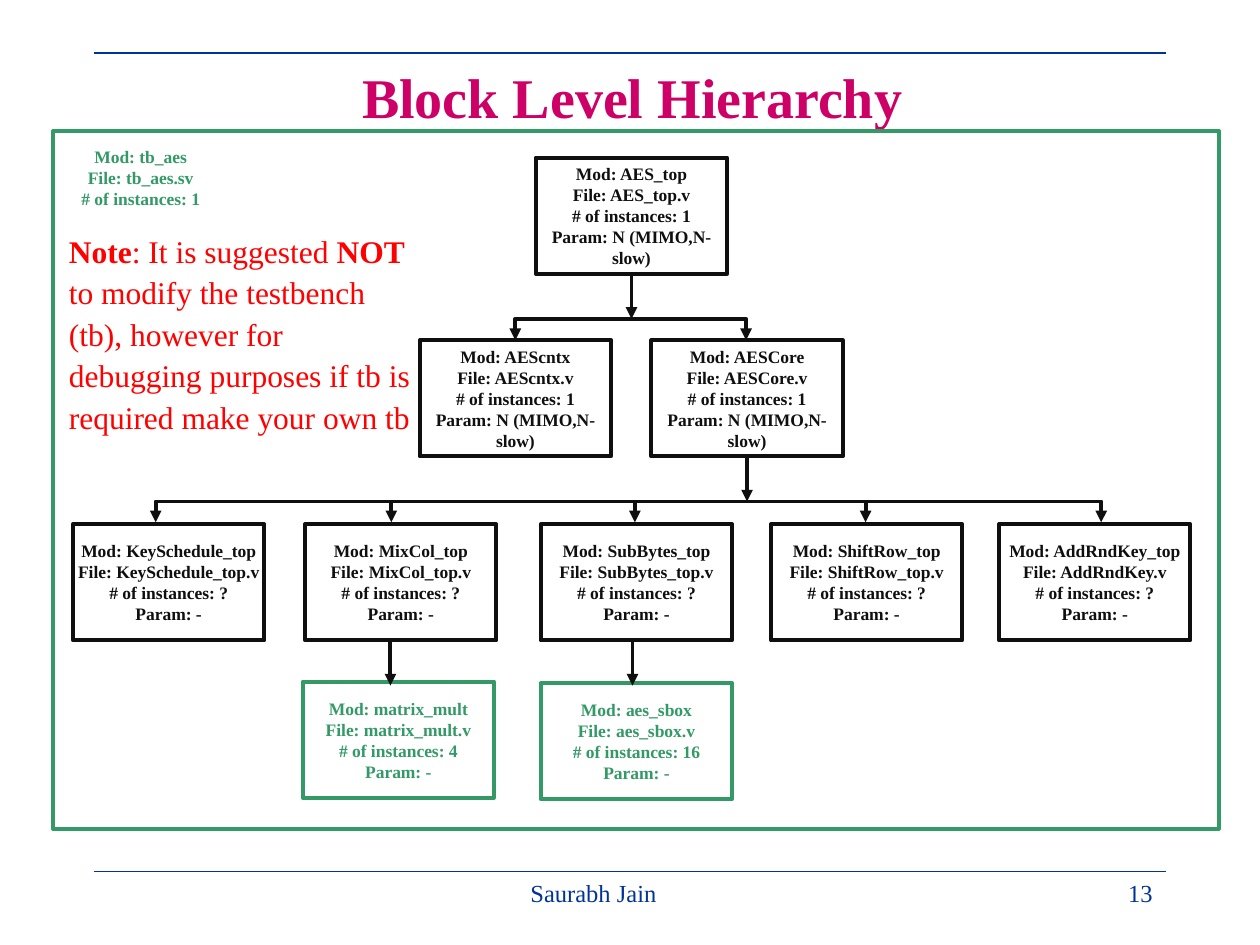
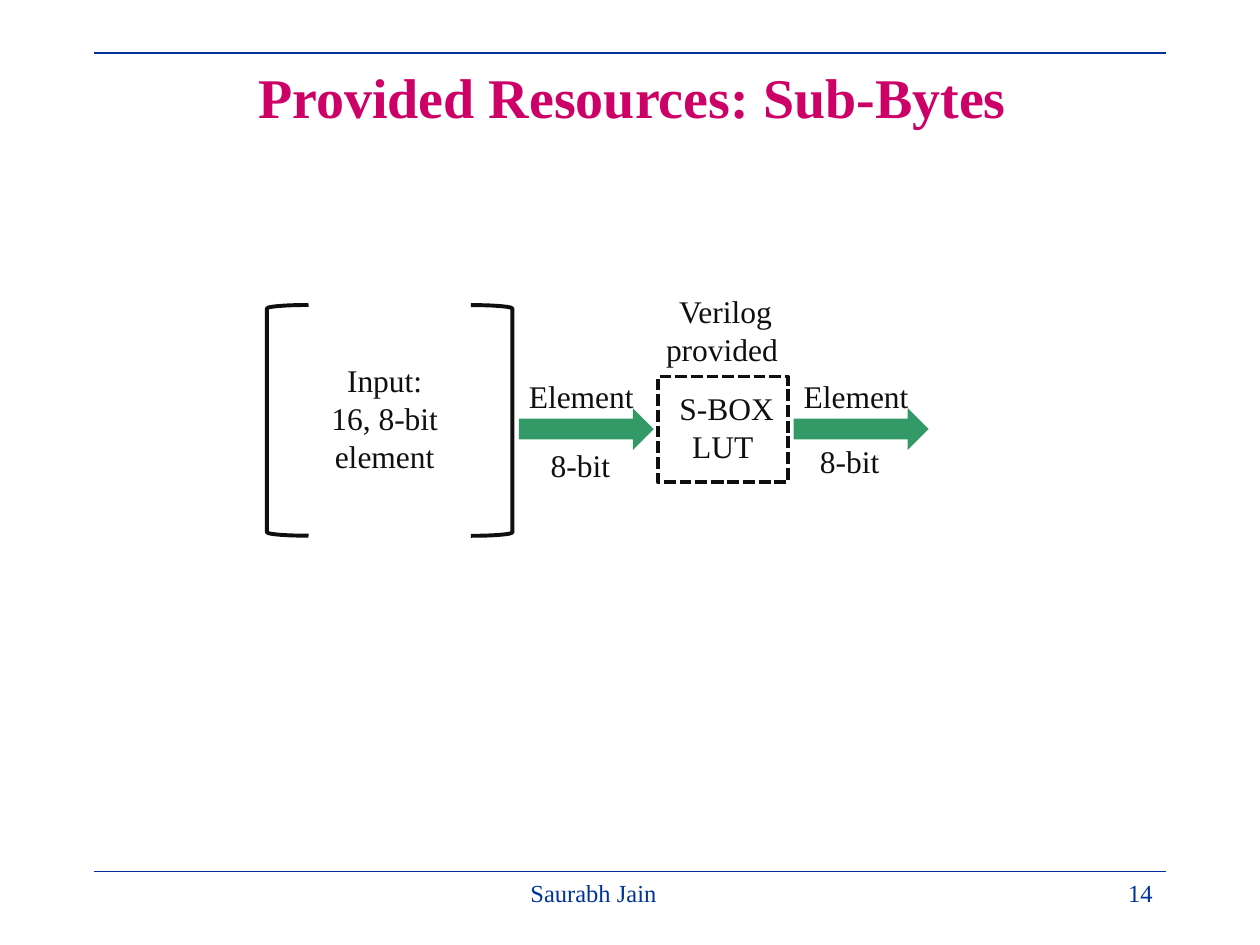
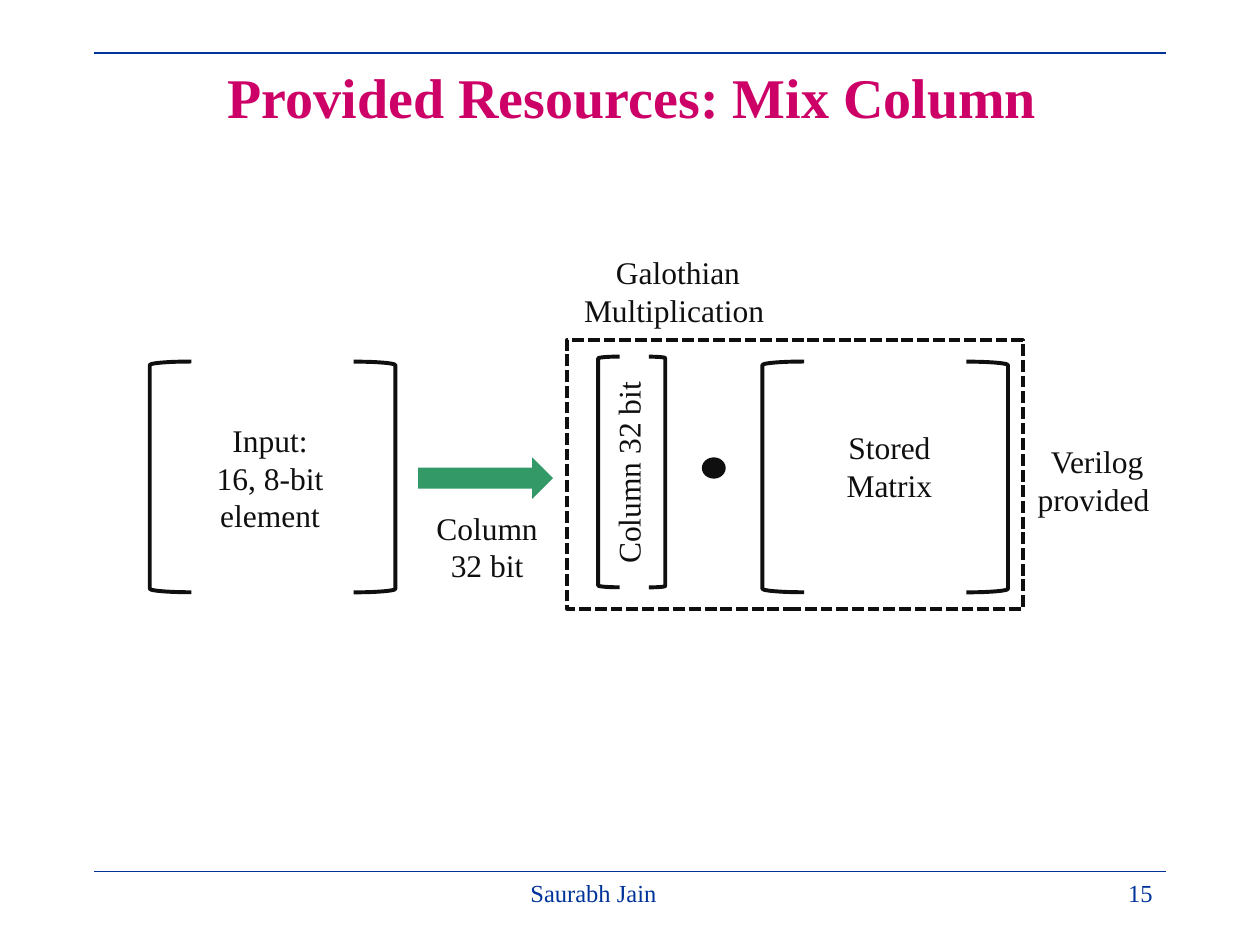
from lxml import etree
from pptx import Presentation
from pptx.dml.color import RGBColor
from pptx.enum.dml import MSO_LINE
from pptx.enum.shapes import MSO_CONNECTOR as CONN, MSO_SHAPE as SHAPE
from pptx.enum.text import MSO_ANCHOR as ANCHOR, MSO_AUTO_SIZE, PP_ALIGN as ALIGN
from pptx.oxml.ns import qn
from pptx.util import Cm, Pt

COLORS = {"ink": "0F0F0F", "green": "339966", "blue": "003399",
          "title": "CC0066", "note": "FF0000"}
FONT = "Times New Roman"
AUTHOR = "Saurabh Jain"
FIRST_NUMBER = 13

# ---- Content: block hierarchy (lengths in cm) ----
BOX_W, BOX_H = 3.86, 2.34
FRAME = (1.07, 2.64, 23.5, 14.07)
MIMO = "N (MIMO,N-slow)"
# module, file, instances, parameter, left, top, colour
MODULES = [
    ("AES_top", "AES_top.v", "1", MIMO, 10.8, 3.18, "ink"),
    ("AEScntx", "AEScntx.v", "1", MIMO, 8.46, 6.86, "ink"),
    ("AESCore", "AESCore.v", "1", MIMO, 13.13, 6.86, "ink"),
    ("KeySchedule_top", "KeySchedule_top.v", "?", "-", 1.47, 10.57, "ink"),
    ("MixCol_top", "MixCol_top.v", "?", "-", 6.15, 10.57, "ink"),
    ("SubBytes_top", "SubBytes_top.v", "?", "-", 10.9, 10.57, "ink"),
    ("ShiftRow_top", "ShiftRow_top.v", "?", "-", 15.54, 10.57, "ink"),
    ("AddRndKey_top", "AddRndKey.v", "?", "-", 20.14, 10.57, "ink"),
    ("matrix_mult", "matrix_mult.v", "4", "-", 6.1, 13.74, "green"),
    ("aes_sbox", "aes_sbox.v", "16", "-", 10.9, 13.77, "green"),
]
TESTBENCH = ["Mod: tb_aes", "File: tb_aes.sv", "# of instances: 1"]
NOTE = [[("Note", True), (": It is suggested ", False), ("NOT ", True),
         ("to modify the testbench (tb), however for debugging purposes "
          "if tb is required make your own tb", False)]]
# parent, bus height, arrow tip height, (start, tip) of each branch
BUSES = [
    ("AES_top", 6.43, 6.86, [(12.73, 10.39), (12.73, 15.04)]),
    ("AESCore", 10.11, 10.53, [(15.06, 12.8), (15.06, 17.45), (12.8, 7.89),
                               (17.45, 22.2), (7.89, 3.14)]),
]
LEAF_ARROWS = [7.87, 12.75]

# ---- Content: resource diagrams (lengths in cm) ----
INPUT = ["Input:", "16, 8-bit element"]
ARROW_SIZE = (2.72, 0.84)
WIDE = (4.95, 0.84, 0.84)      # span, left bracket, right bracket
NARROW = (1.35, 0.43, 0.33)
DIAGRAMS = [
    {"title": "Provided Resources: Sub-Bytes",
     "brackets": [(5.38, 6.15, WIDE)],
     "arrows": [(10.46, 8.23), (16, 8.23)],
     "dashed": (13.26, 7.59, 2.62, 2.13),
     "labels": [(INPUT, 5.99, 7.16, 3.53, 2.57, 0),
                (["Element"], 10.36, 7.47, 2.72, 1.02, 0),
                ([" S-BOX ", "LUT"], 13.26, 7.72, 2.62, 1.8, 0),
                (["Element"], 15.9, 7.47, 2.72, 1.02, 0),
                (["8-bit"], 10.34, 8.86, 2.72, 1.02, 0),
                (["8-bit"], 15.77, 8.79, 2.72, 1.02, 0),
                ([" Verilog provided"], 12.47, 5.77, 4.17, 1.8, 0)]},
    {"title": "Provided Resources: Mix Column",
     "brackets": [(3.02, 7.29, WIDE), (12.06, 7.19, NARROW), (15.37, 7.29, WIDE)],
     "arrows": [(8.43, 9.22)],
     "dashed": (11.43, 6.86, 9.19, 5.41),
     "dot": (14.15, 9.22, 0.48, 0.43),
     "labels": [(INPUT, 3.68, 8.36, 3.53, 2.57, 0),
                (["Column", "32 bit"], 8.46, 10.13, 2.72, 1.8, 0),
                ([" Galothian Multiplication"], 11.43, 4.98, 4.32, 1.8, 0),
                (["Column 32 bit"], 10.57, 9.02, 4.19, 1.02, 270),
                (["Stored Matrix"], 16.61, 8.51, 2.64, 1.8, 0),
                ([" Verilog provided"], 19.96, 8.79, 4.17, 1.8, 0)]},
]


def rgb(name):
    return RGBColor.from_string(COLORS[name])


def write(tf, paragraphs, size=18, color="ink", bold=False, align=ALIGN.CENTER,
          anchor=ANCHOR.TOP, spacing=None, before=None):
    """Fill a frame; a paragraph is a string or a list of (text, bold) runs."""
    tf.word_wrap = True
    tf.auto_size = MSO_AUTO_SIZE.NONE
    tf.vertical_anchor = anchor
    for i, runs in enumerate(paragraphs):
        p = tf.add_paragraph() if i else tf.paragraphs[0]
        p.alignment, p.line_spacing, p.space_before = align, spacing, before
        for text, heavy in ([(runs, bold)] if isinstance(runs, str) else runs):
            r = p.add_run()
            r.text = text
            r.font.name, r.font.size, r.font.bold = FONT, Pt(size), heavy
            r.font.color.rgb = rgb(color)


def add_text(slide, paragraphs, x, y, w, h, rotation=0, **fmt):
    sp = slide.shapes.add_textbox(Cm(x), Cm(y), Cm(w), Cm(h))
    sp.rotation = rotation
    write(sp.text_frame, paragraphs, **fmt)


def add_shape(slide, kind, x, y, w, h, line=None, fill=None):
    sp = slide.shapes.add_shape(kind, Cm(x), Cm(y), Cm(w), Cm(h))
    sp.shadow.inherit = False
    if fill:
        sp.fill.solid()
        sp.fill.fore_color.rgb = rgb(fill)
    else:
        sp.fill.background()
    if line:
        sp.line.color.rgb, sp.line.width = rgb(line), Pt(2.25)
    else:
        sp.line.fill.background()
    return sp


def add_line(slide, x1, y1, x2, y2, color="ink", width=2.25, arrow=True, bent=False):
    kind = CONN.ELBOW if bent else CONN.STRAIGHT
    cx = slide.shapes.add_connector(kind, Cm(x1), Cm(y1), Cm(x2), Cm(y2))
    cx.line.color.rgb, cx.line.width = rgb(color), Pt(width)
    props = cx.element.spPr
    if bent:  # one corner: across, then down
        props.find(qn("a:prstGeom")).set("prst", "bentConnector2")
    if arrow:
        etree.SubElement(props.find(qn("a:ln")), qn("a:tailEnd"), type="triangle")
    etree.SubElement(props, qn("a:effectLst"))
    return cx


def add_slide(prs, title, number):
    slide = prs.slides.add_slide(prs.slide_layouts[5])
    for y in (1.07, 17.57):
        add_line(slide, 1.9, y, 23.5, y, color="blue", width=0.75, arrow=False)
    sp = slide.shapes.title
    sp.left, sp.top, sp.width, sp.height = Cm(1.37), Cm(1.12), Cm(22.76), Cm(1.63)
    write(sp.text_frame, [title], size=32, color="title", bold=True, anchor=ANCHOR.MIDDLE)
    add_text(slide, [AUTHOR], 7.62, 17.57, 8.69, 1.07, size=14, color="blue")
    add_text(slide, [str(number)], 18.21, 17.57, 5.28, 1.27, size=14, color="blue",
             align=ALIGN.RIGHT)
    return slide


def add_hierarchy(slide):
    add_shape(slide, SHAPE.RECTANGLE, *FRAME, line="green")

    # Module boxes
    boxes = {}
    for module, file, count, param, x, y, color in MODULES:
        sp = add_shape(slide, SHAPE.RECTANGLE, x, y, BOX_W, BOX_H, line=color)
        tf = sp.text_frame
        tf.margin_left = tf.margin_right = Cm(0.05 if param == "-" else 0.25)
        write(tf, [f"Mod: {module}", f"File: {file}", f"# of instances: {count}",
                   f"Param: {param}"], size=10, color=color, bold=True,
              anchor=ANCHOR.MIDDLE)
        boxes[module] = sp

    # Trunk and branches under each parent
    for parent, bus_y, tip_y, branches in BUSES:
        x = branches[0][0]
        trunk = add_line(slide, x, bus_y - 0.9, x, bus_y)
        trunk.begin_connect(boxes[parent], 2)
        for start, tip in branches:
            add_line(slide, start, bus_y, tip, tip_y, bent=True)
    for x in LEAF_ARROWS:
        add_line(slide, x, 12.9, x, 13.82)

    # Testbench label and note
    add_text(slide, TESTBENCH, 1.22, 2.82, 3.23, 1.55, size=10, color="green", bold=True)
    add_text(slide, NOTE, 1.14, 4.47, 7.42, 4.5, color="note", align=ALIGN.LEFT,
             spacing=1.1, before=Pt(3.6))


def add_diagram(slide, diagram):
    for x, y, (span, left_w, right_w) in diagram["brackets"]:
        add_shape(slide, SHAPE.LEFT_BRACKET, x, y, left_w, 4.65, line="ink")
        right = add_shape(slide, SHAPE.LEFT_BRACKET, x + span - right_w, y, right_w, 4.65,
                          line="ink")
        right.rotation = 180
    for x, y in diagram["arrows"]:
        add_shape(slide, SHAPE.RIGHT_ARROW, x, y, *ARROW_SIZE, fill="green")
    dashed = add_shape(slide, SHAPE.RECTANGLE, *diagram["dashed"], line="ink")
    dashed.line.dash_style = MSO_LINE.SQUARE_DOT
    if "dot" in diagram:
        add_shape(slide, SHAPE.OVAL, *diagram["dot"], fill="ink")
    for label in diagram["labels"]:
        add_text(slide, *label)


def main():
    prs = Presentation()
    prs.slide_width, prs.slide_height = Cm(25.4), Cm(19.05)
    add_hierarchy(add_slide(prs, "Block Level Hierarchy", FIRST_NUMBER))
    for number, diagram in enumerate(DIAGRAMS, FIRST_NUMBER + 1):
        add_diagram(add_slide(prs, diagram["title"], number), diagram)
    prs.save("out.pptx")


if __name__ == "__main__":
    main()
